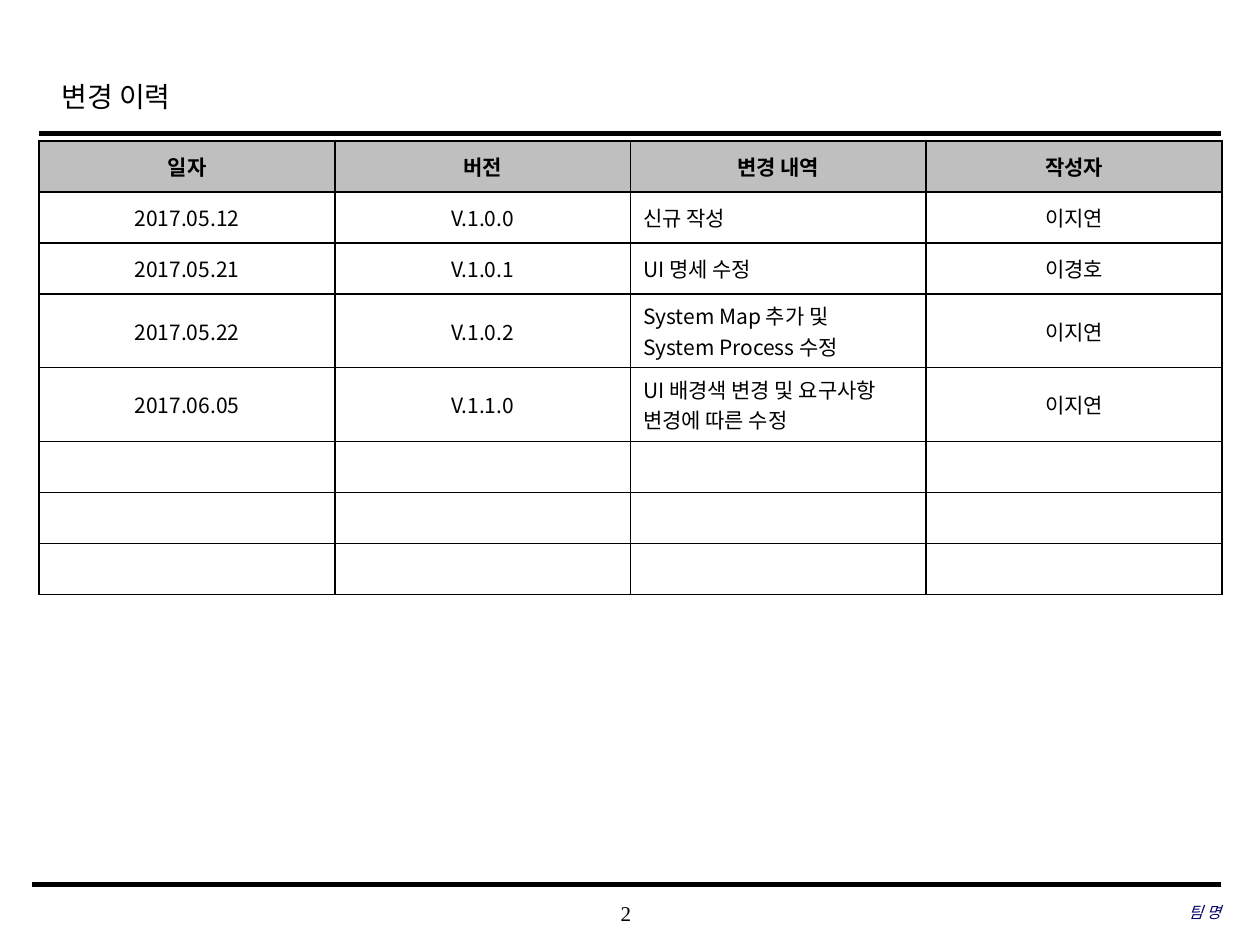
from lxml.etree import SubElement
from pptx import Presentation
from pptx.dml.color import RGBColor
from pptx.enum.shapes import MSO_CONNECTOR
from pptx.enum.text import MSO_ANCHOR, PP_ALIGN
from pptx.oxml.ns import qn
from pptx.util import Cm, Pt

COLORS = {"ink": "000000", "header": "BFBFBF", "body": "FFFFFF", "team": "000066"}
SERIF = "Times New Roman"
KOREAN = "Noto Sans CJK KR"

TITLE = "변경 이력"
HEADERS = ["일자", "버전", "변경 내역", "작성자"]
CHANGES = [
    ["2017.05.12", "V.1.0.0", "신규 작성", "이지연"],
    ["2017.05.21", "V.1.0.1", "UI 명세 수정", "이경호"],
    ["2017.05.22", "V.1.0.2", "System Map 추가 및\nSystem Process 수정", "이지연"],
    ["2017.06.05", "V.1.1.0", "UI 배경색 변경 및 요구사항 변경에 따른 수정", "이지연"],
]
EMPTY_ROWS = 3
DESCRIPTION_COLUMN = HEADERS.index("변경 내역")
RULES = [(0.79, 2.69, 2.5), (0.64, 17.83, 3)]
RIGHT_EDGE = 24.61
FOOTERS = [
    ("2", (9.98, 17.98, 5.28, 0.84), dict(size=12, align=PP_ALIGN.CENTER)),
    ("팀 명", (16.84, 17.96, 7.77, 0.84),
     dict(size=9, align=PP_ALIGN.RIGHT, color="team", italic=True)),
]
TABLE_LEFT, TABLE_TOP = 0.79, 2.84
COLUMN_WIDTH, ROW_HEIGHT = 5.96, 1.03


def write_text(frame, text, size=12, font=SERIF, color="ink", bold=False,
               italic=False, align=PP_ALIGN.LEFT, spacing=None):
    frame.word_wrap = True
    frame.vertical_anchor = MSO_ANCHOR.MIDDLE
    for index, line in enumerate(text.split("\n")):
        paragraph = frame.add_paragraph() if index else frame.paragraphs[0]
        paragraph.alignment = align
        paragraph.line_spacing = spacing
        run = paragraph.add_run()
        run.text = line
        run.font.size = Pt(size)
        run.font.name = font
        run.font.bold = bold
        run.font.italic = italic
        run.font.color.rgb = RGBColor.from_string(COLORS[color])
        SubElement(run.font._element, qn("a:ea"), typeface=KOREAN)


def add_rule(slide, left, top, width):
    rule = slide.shapes.add_connector(
        MSO_CONNECTOR.STRAIGHT, Cm(left), Cm(top), Cm(RIGHT_EDGE), Cm(top))
    rule.line.color.rgb = RGBColor.from_string(COLORS["ink"])
    rule.line.width = Pt(width)
    SubElement(rule._element.spPr, qn("a:effectLst"))


def format_cell(cell, color):
    properties = cell._tc.get_or_add_tcPr()
    for side in ("a:lnL", "a:lnR", "a:lnT", "a:lnB"):
        border = SubElement(properties, qn(side), w=str(Pt(1)))
        fill = SubElement(border, qn("a:solidFill"))
        SubElement(fill, qn("a:srgbClr"), val=COLORS["ink"])
    cell.fill.solid()
    cell.fill.fore_color.rgb = RGBColor.from_string(COLORS[color])


def add_history_table(slide):
    rows = [HEADERS, *CHANGES, *[[""] * len(HEADERS)] * EMPTY_ROWS]
    table = slide.shapes.add_table(
        len(rows), len(HEADERS), Cm(TABLE_LEFT), Cm(TABLE_TOP),
        Cm(COLUMN_WIDTH * len(HEADERS)), Cm(ROW_HEIGHT * len(rows))).table
    for row_index, row in enumerate(rows):
        is_header = row_index == 0
        for column_index, text in enumerate(row):
            cell = table.cell(row_index, column_index)
            format_cell(cell, "header" if is_header else "body")
            cell.vertical_anchor = MSO_ANCHOR.MIDDLE
            if text:
                is_description = column_index == DESCRIPTION_COLUMN and not is_header
                write_text(cell.text_frame, text, font=KOREAN, bold=is_header,
                           align=PP_ALIGN.LEFT if is_description else PP_ALIGN.CENTER)


def main():
    presentation = Presentation()
    presentation.slide_width, presentation.slide_height = Cm(25.4), Cm(19.05)
    slide = presentation.slides.add_slide(presentation.slide_layouts[5])

    title = slide.shapes.title
    title.left, title.top, title.width, title.height = map(Cm, (0.99, 1.24, 19.18, 1.27))
    write_text(title.text_frame, TITLE, size=16, spacing=1.2)

    for left, top, width in RULES:
        add_rule(slide, left, top, width)
    add_history_table(slide)

    for text, box, style in FOOTERS:
        frame = slide.shapes.add_textbox(*map(Cm, box)).text_frame
        frame.margin_left = frame.margin_right = frame.margin_top = frame.margin_bottom = 0
        write_text(frame, text, **style)

    presentation.save("out.pptx")


if __name__ == "__main__":
    main()
